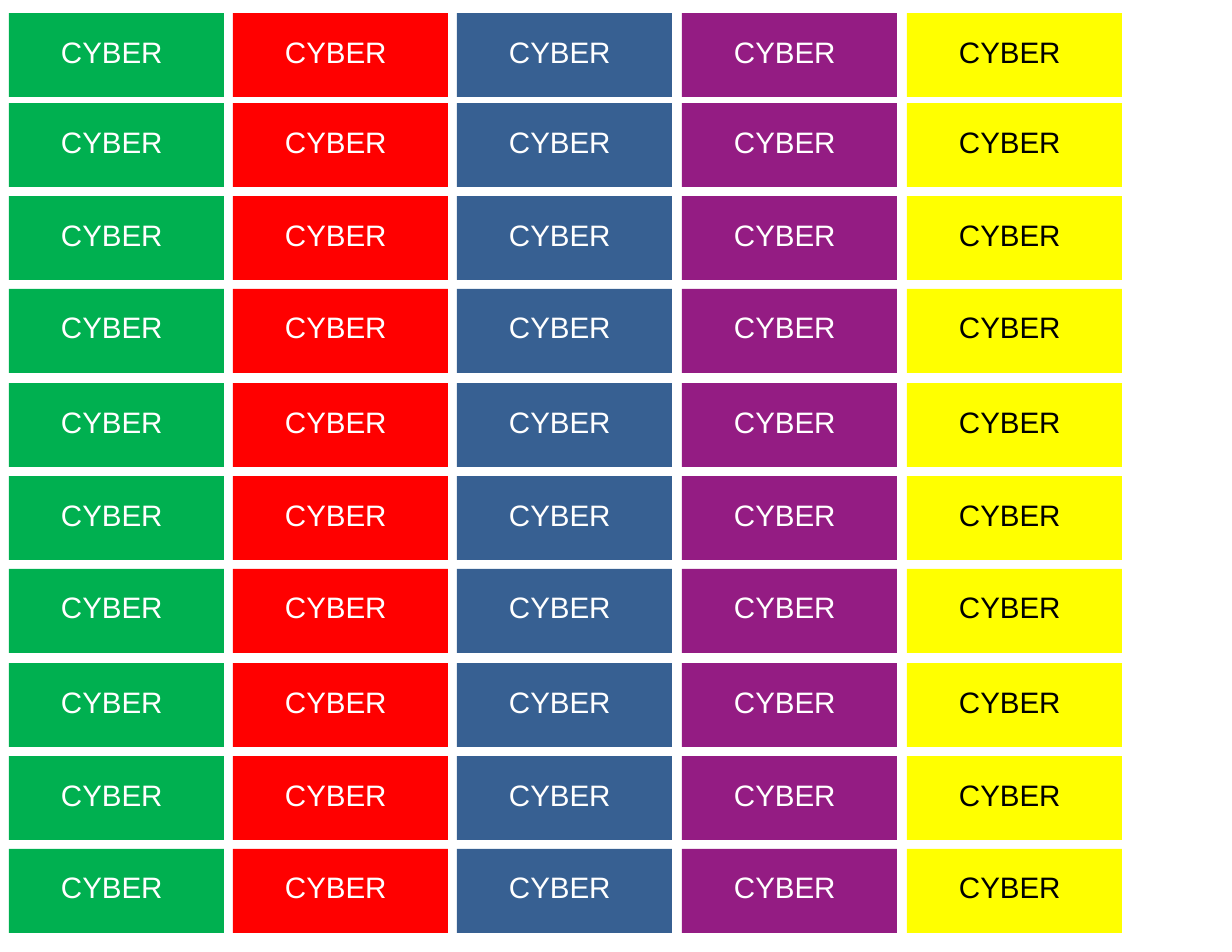
from pptx import Presentation
from pptx import util as u
from pptx.dml.color import RGBColor
from pptx.enum import shapes, text

GREEN = RGBColor(0x00, 0xB0, 0x50)
RED = RGBColor(0xFF, 0x00, 0x00)
BLUE = RGBColor(0x37, 0x60, 0x92)
PURPLE = RGBColor(0x94, 0x1C, 0x83)
YELLOW = RGBColor(0xFF, 0xFF, 0x00)
WHITE = RGBColor(0xFF, 0xFF, 0xFF)
BLACK = RGBColor(0x00, 0x00, 0x00)

PX_PER_INCH = 112
CARD_WIDTH, CARD_HEIGHT = 215, 84
COLUMNS = [
    (9, GREEN, WHITE),
    (233, RED, WHITE),
    (457, BLUE, WHITE),
    (682, PURPLE, WHITE),
    (907, YELLOW, BLACK),
]
ROW_TOPS = [13] + [103 + row * 280 // 3 for row in range(9)]


def px(length):
    """Turn pixels into EMU."""
    return u.Inches(length / PX_PER_INCH)


def add_card(slide, left, top, width, height, fill, ink):
    """Place one coloured card with its label."""
    card = slide.shapes.add_shape(
        shapes.MSO_SHAPE.RECTANGLE, px(left), px(top), px(width), px(height))
    card.shadow.inherit = False
    card.fill.solid()
    card.fill.fore_color.rgb = fill
    card.line.fill.background()

    label = slide.shapes.add_textbox(
        px(left + 41), px(top + 15), px(width - 83), px(height - 37))
    frame = label.text_frame
    frame.text = "CYBER"
    frame.word_wrap = False
    frame.auto_size = text.MSO_AUTO_SIZE.SHAPE_TO_FIT_TEXT
    font = frame.paragraphs[0].runs[0].font
    font.name = "Arial"
    font.size = u.Pt(19)
    font.color.rgb = ink


def add_card_sheet(slide):
    """Fill the sheet with one column of cards per colour."""
    for left, fill, ink in COLUMNS:
        for top in ROW_TOPS:
            add_card(slide, left, top, CARD_WIDTH, CARD_HEIGHT, fill, ink)


def main():
    """Build and save the card sheet."""
    deck = Presentation()
    deck.slide_width = px(1232)
    deck.slide_height = px(952)
    add_card_sheet(deck.slides.add_slide(deck.slide_layouts[6]))
    deck.save("out.pptx")


if __name__ == "__main__":
    main()
